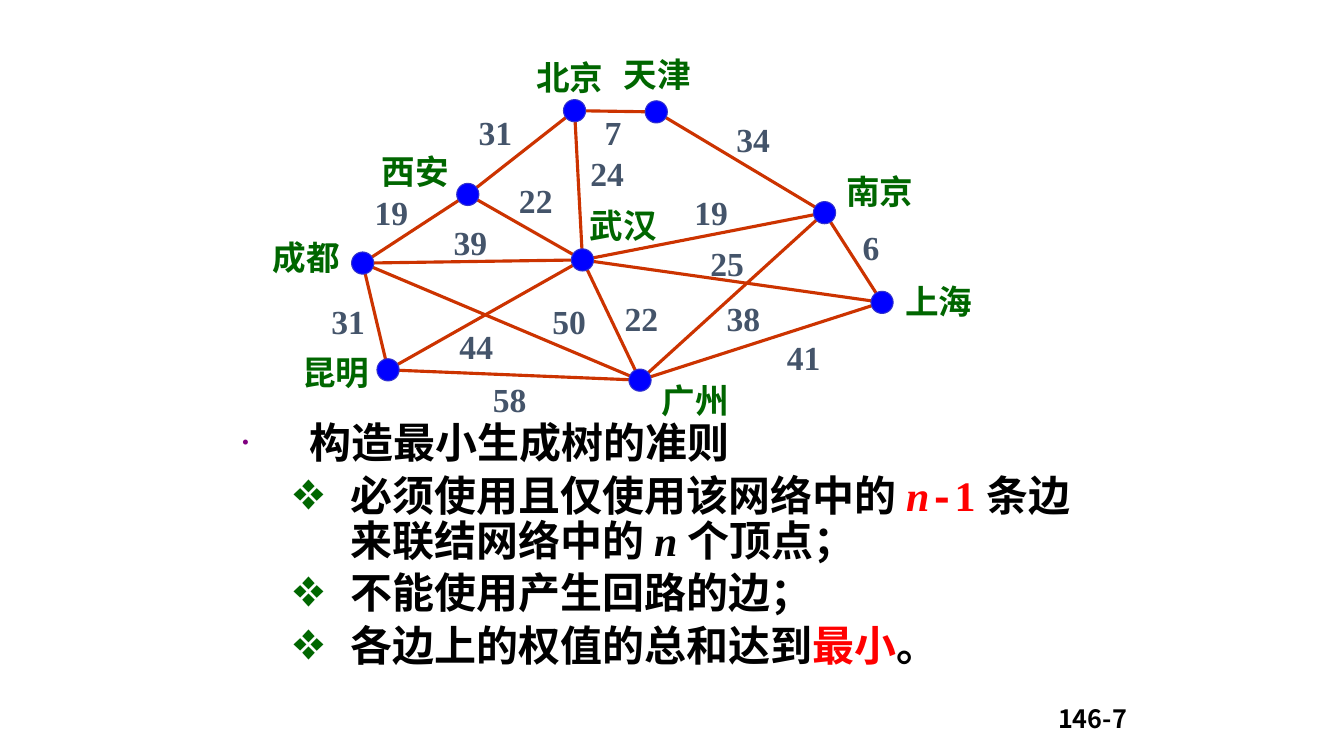
from dataclasses import dataclass
from math import hypot

from lxml.etree import SubElement
from pptx import Presentation
from pptx.dml.color import RGBColor
from pptx.enum.shapes import MSO_CONNECTOR, MSO_SHAPE
from pptx.enum.text import MSO_ANCHOR, MSO_AUTO_SIZE, PP_ALIGN
from pptx.oxml.ns import qn
from pptx.slide import Slide
from pptx.text.text import Font
from pptx.util import Cm, Pt

COLORS = {
    "edge": "CC3300", "dot": "0000FF", "dot_rim": "3333CC", "city": "006600",
    "weight": "44546A", "text": "000000", "accent": "FF0000", "bullet": "800080",
}
SERIF, SANS, MONO, CJK = "Times New Roman", "Arial", "Courier New", "Noto Sans CJK JP"
DOT_SIZE = 0.56
EDGE_TRIM = 0.2  # gap between a city's centre and the end of its edges
LABEL_HEIGHT = 1.27


@dataclass(frozen=True)
class City:
    name: str
    x: float
    y: float
    label_left: float
    label_top: float


@dataclass(frozen=True)
class Edge:
    start: str
    end: str
    weight: int
    label_left: float
    label_top: float


@dataclass(frozen=True)
class Piece:
    text: str
    color: str = "text"
    face: str = SERIF
    italic: bool = False


@dataclass(frozen=True)
class Bullet:
    char: str
    color: str
    percent: int
    level: int
    indent: float
    hanging: float
    space_before: float


CITIES = [
    City("武汉", 14.68, 6.55, 14.61, 5.05),
    City("昆明", 9.78, 9.32, 7.37, 8.74),
    City("南京", 20.78, 5.36, 21.08, 4.17),
    City("北京", 14.48, 2.79, 13.26, 1.3),
    City("上海", 22.23, 7.62, 22.56, 6.96),
    City("成都", 9.14, 6.63, 6.63, 5.84),
    City("西安", 11.79, 4.9, 9.37, 3.68),
    City("广州", 16.13, 9.58, 16.43, 9.45),
    City("天津", 16.54, 2.82, 15.47, 1.24),
]
EDGES = [
    Edge("武汉", "广州", 22, 15.49, 7.39),
    Edge("成都", "西安", 19, 9.19, 4.72),
    Edge("西安", "北京", 31, 11.81, 2.69),
    Edge("昆明", "成都", 31, 8.1, 7.47),
    Edge("昆明", "武汉", 44, 11.33, 8.08),
    Edge("北京", "武汉", 24, 14.63, 3.73),
    Edge("武汉", "南京", 19, 17.25, 4.7),
    Edge("广州", "南京", 38, 18.06, 7.39),
    Edge("南京", "上海", 6, 21.49, 5.59),
    Edge("广州", "上海", 41, 19.58, 8.36),
    Edge("昆明", "广州", 58, 12.17, 9.42),
    Edge("成都", "武汉", 39, 11.18, 5.46),
    Edge("西安", "武汉", 22, 12.83, 4.42),
    Edge("成都", "广州", 50, 13.67, 7.47),
    Edge("武汉", "上海", 25, 17.65, 5.99),
    Edge("北京", "天津", 7, 14.99, 2.69),
    Edge("天津", "南京", 34, 18.31, 2.87),
]
HEADING = Bullet("•", "bullet", 50, 0, 1.7, 1.7, 0)
RULE = Bullet("❖", "city", 100, 1, 2.74, 1.47, 5)
CRITERIA = [
    (HEADING, [Piece("构造最小生成树的准则", face=SANS)]),
    (RULE, [
        Piece("必须使用且仅使用该网络中的 "),
        Piece("n", "accent", italic=True),
        Piece("-", "accent", MONO),
        Piece("1 ", "accent"),
        Piece("条边来联结网络中的 "),
        Piece("n ", italic=True),
        Piece("个顶点；"),
    ]),
    (RULE, [Piece("不能使用产生回路的边；")]),
    (RULE, [Piece("各边上的权值的总和达到"), Piece("最小", "accent"), Piece("。")]),
]


def rgb(key: str) -> RGBColor:
    return RGBColor.from_string(COLORS[key])


def format_paragraph(paragraph, size: float, color: str, face: str) -> Font:
    font = paragraph.font
    font.size, font.bold, font.name = Pt(size), True, face
    font.color.rgb = rgb(color)
    defaults = paragraph._p.pPr.find(qn("a:defRPr"))
    SubElement(defaults, qn("a:ea"), typeface=CJK)
    return font


def add_edge(slide: Slide, start: City, end: City) -> None:
    dx, dy = end.x - start.x, end.y - start.y
    share = EDGE_TRIM / hypot(dx, dy)
    line = slide.shapes.add_connector(
        MSO_CONNECTOR.STRAIGHT,
        Cm(start.x + dx * share), Cm(start.y + dy * share),
        Cm(end.x - dx * share), Cm(end.y - dy * share))
    line.line.color.rgb = rgb("edge")
    line.line.width = Pt(2.25)
    SubElement(line._element.spPr, qn("a:effectLst"))


def add_dot(slide: Slide, city: City) -> None:
    dot = slide.shapes.add_shape(
        MSO_SHAPE.OVAL, Cm(city.x - DOT_SIZE / 2), Cm(city.y - DOT_SIZE / 2),
        Cm(DOT_SIZE), Cm(DOT_SIZE))
    dot.shadow.inherit = False
    dot.fill.solid()
    dot.fill.fore_color.rgb = rgb("dot")
    dot.line.color.rgb = rgb("dot_rim")
    dot.line.width = Pt(0.75)


def add_label(slide: Slide, text: str, left: float, top: float, width: float, color: str) -> None:
    label = slide.shapes.add_textbox(Cm(left), Cm(top), Cm(width), Cm(LABEL_HEIGHT))
    frame = label.text_frame
    frame.word_wrap = False
    frame.auto_size = MSO_AUTO_SIZE.SHAPE_TO_FIT_TEXT
    frame.text = text
    format_paragraph(frame.paragraphs[0], 24, color, SERIF)


def add_bullet(paragraph, bullet: Bullet) -> None:
    paragraph.level = bullet.level
    props = paragraph._p.get_or_add_pPr()
    props.set("marL", str(Cm(bullet.indent)))
    props.set("indent", str(-Cm(bullet.hanging)))
    SubElement(SubElement(props, qn("a:buClr")), qn("a:srgbClr"), val=COLORS[bullet.color])
    SubElement(props, qn("a:buSzPct"), val=str(bullet.percent * 1000))
    SubElement(props, qn("a:buFont"), typeface=SERIF)
    SubElement(props, qn("a:buChar"), char=bullet.char)
    paragraph.line_spacing = 0.9
    paragraph.space_before = Pt(bullet.space_before)


def fill_criteria(body) -> None:
    body.left, body.top, body.width, body.height = Cm(5.84), Cm(10.52), Cm(22.43), Cm(7.72)
    frame = body.text_frame
    frame.word_wrap = True
    frame.auto_size = MSO_AUTO_SIZE.NONE
    for index, (bullet, pieces) in enumerate(CRITERIA):
        paragraph = frame.add_paragraph() if index else frame.paragraphs[0]
        add_bullet(paragraph, bullet)
        format_paragraph(paragraph, 30, "text", pieces[0].face)
        for piece in pieces:
            run = paragraph.add_run()
            run.text = piece.text
            run.font.name = piece.face
            run.font.italic = piece.italic
            run.font.color.rgb = rgb(piece.color)


def add_page_number(slide: Slide) -> None:
    number = slide.shapes.add_textbox(Cm(22.73), Cm(17.35), Cm(5.92), Cm(1.27))
    frame = number.text_frame
    frame.word_wrap = True
    frame.vertical_anchor = MSO_ANCHOR.BOTTOM
    frame.text = "146-7"
    frame.paragraphs[0].alignment = PP_ALIGN.RIGHT
    format_paragraph(frame.paragraphs[0], 18, "text", CJK)


def main() -> None:
    deck = Presentation()
    deck.slide_width, deck.slide_height = Cm(33.87), Cm(19.05)
    slide = deck.slides.add_slide(deck.slide_layouts[1])

    # The slide has body text but no title
    title = slide.shapes.title._element
    title.getparent().remove(title)
    fill_criteria(slide.placeholders[1])
    add_page_number(slide)

    # City network: edges below, then dots, then labels
    by_name = {city.name: city for city in CITIES}
    for edge in EDGES:
        add_edge(slide, by_name[edge.start], by_name[edge.end])
    for city in CITIES:
        add_dot(slide, city)
    for city in CITIES:
        add_label(slide, city.name, city.label_left, city.label_top, 2.21, "city")
    for edge in EDGES:
        width = 1.35 if edge.weight > 9 else 0.94
        add_label(slide, str(edge.weight), edge.label_left, edge.label_top, width, "weight")

    deck.save("out.pptx")


if __name__ == "__main__":
    main()
